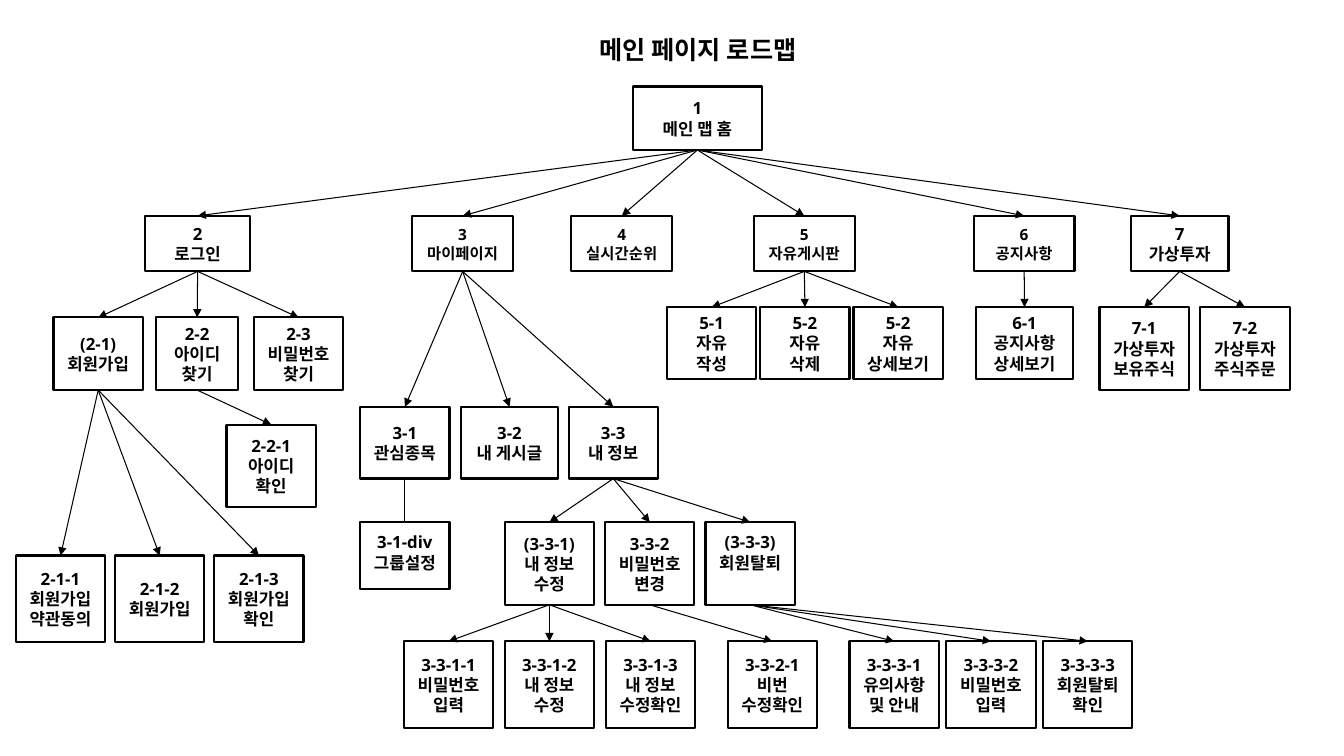
"""Build the main page road map as a tree of boxes joined by arrows."""
from lxml import etree
from pptx import Presentation
from pptx.dml.color import RGBColor
from pptx.enum.shapes import MSO_CONNECTOR, MSO_SHAPE
from pptx.enum.text import MSO_ANCHOR, MSO_AUTO_SIZE, PP_ALIGN
from pptx.oxml.ns import qn
from pptx.util import Cm, Pt

RECT, LINE = MSO_SHAPE.RECTANGLE, MSO_CONNECTOR.STRAIGHT
TOP, MID = MSO_ANCHOR.TOP, MSO_ANCHOR.MIDDLE
CENTER, FIXED = PP_ALIGN.CENTER, MSO_AUTO_SIZE.NONE

THEME = {
    "ink": RGBColor(0, 0, 0),
    "title": Pt(18), "node": Pt(12), "small": Pt(11),
    "edge": Pt(1.5), "arrow": Pt(0.75),
    "latin": "Open Sans", "hangul": "Noto Sans CJK KR",
}
FRAME = {
    "word_wrap": True, "auto_size": FIXED,
    "margin_left": Cm(0.25), "margin_right": Cm(0.25),
    "margin_top": Cm(0.25), "margin_bottom": Cm(0.25),
}
SMALL = ("3", "4", "5", "6")
HIGH = ("3-3-3", "3-1-div")
PLAIN = ("3-1-div",)

ROWS = [
    (2.18, 1.6, [(15.95, 3.25, "1\n메인 맵 홈")]),
    (5.44, 1.4, [
        (3.66, 2.64, "2\n로그인"), (10.39, 2.54, "3\n마이페이지"),
        (14.4, 2.54, "4\n실시간순위"), (19, 2.54, "5\n자유게시판"),
        (24.54, 2.54, "6\n공지사항"), (28.5, 2.46, "7\n가상투자")]),
    (8, 1.83, [
        (1.35, 2.25, "(2-1)\n회원가입"), (3.94, 2.06, "2-2\n아이디\n찾기"),
        (6.4, 2.25, "2-3\n비밀번호찾기")]),
    (7.74, 1.82, [
        (16.81, 2.25, "5-1\n자유\n작성"), (19.16, 2.25, "5-2\n자유\n삭제"),
        (21.51, 2.25, "5-2\n자유\n상세보기"), (24.59, 2.46, "6-1\n공지사항\n상세보기")]),
    (7.74, 2.08, [
        (27.71, 2.25, "7-1\n가상투자\n보유주식"), (30.25, 2.25, "7-2\n가상투자\n주식주문")]),
    (10.25, 1.81, [
        (9.08, 2.25, "3-1\n관심종목"), (11.61, 2.46, "3-2\n내 게시글"),
        (14.33, 2.25, "3-3\n내 정보")]),
    (10.7, 2.08, [(5.71, 2.25, "2-2-1\n아이디\n확인")]),
    (13.16, 1.68, [(9.08, 2.25, "3-1-div\n그룹설정")]),
    (13.16, 2.08, [
        (12.72, 2.25, "(3-3-1)\n내 정보\n수정"), (15.25, 2.25, "3-3-2\n비밀번호\n변경"),
        (17.78, 2.25, "(3-3-3)\n회원탈퇴")]),
    (14, 2.18, [
        (0.4, 2.25, "2-1-1\n회원가입\n약관동의"), (2.9, 2.25, "2-1-2\n회원가입"),
        (5.4, 2.25, "2-1-3\n회원가입\n확인")]),
    (16.16, 2.18, [
        (10.18, 2.25, "3-3-1-1\n비밀번호\n입력"), (12.72, 2.25, "3-3-1-2\n내 정보\n수정"),
        (15.27, 2.25, "3-3-1-3\n내 정보\n수정확인"), (18.34, 2.25, "3-3-2-1\n비번\n수정확인"),
        (21.41, 2.25, "3-3-3-1\n유의사항\n및 안내"), (23.85, 2.25, "3-3-3-2\n비밀번호\n입력"),
        (26.29, 2.25, "3-3-3-3\n회원탈퇴\n확인")]),
]


def write(shape, text, size, latin, anchor):
    """Fill a shape with centred bold text."""
    frame = shape.text_frame
    frame.text = text
    for name, value in {**FRAME, "vertical_anchor": anchor}.items():
        setattr(frame, name, value)
    for para in frame.paragraphs:
        para.alignment = CENTER
        for run in para.runs:
            for name, value in {"name": latin, "size": size, "bold": True}.items():
                setattr(run.font, name, value)
            run.font.color.rgb = THEME["ink"]
            east = etree.SubElement(run.font._element, qn("a:ea"))
            east.set("typeface", THEME["hangul"])


def link(start, end, arrow):
    """Join the bottom of one box to the top of another."""
    line = slide.shapes.add_connector(LINE, 0, 0, 0, 0)
    line.begin_connect(start, 2)
    line.end_connect(end, 0)
    line.line.color.rgb = THEME["ink"]
    line.line.width = THEME["arrow"]
    if arrow:
        etree.SubElement(line.line._get_or_add_ln(), qn("a:tailEnd"), type="triangle")
    etree.SubElement(line._element.spPr, qn("a:effectLst"))


deck = Presentation()
deck.slide_width, deck.slide_height = Cm(33.87), Cm(19.05)
slide = deck.slides.add_slide(deck.slide_layouts[5])

title = slide.shapes.title
place = {"left": Cm(14.3), "top": Cm(0.74), "width": Cm(6.58), "height": Cm(1.02)}
for name, value in place.items():
    setattr(title, name, value)
write(title, "메인 페이지 로드맵", THEME["title"], THEME["hangul"], MID)

boxes = {}
for top, high, nodes in ROWS:
    for left, wide, text in nodes:
        key = text.split("\n")[0].strip("()")
        box = slide.shapes.add_shape(RECT, Cm(left), Cm(top), Cm(wide), Cm(high))
        box.shadow.inherit = False
        box.fill.background()
        box.line.color.rgb = THEME["ink"]
        box.line.width = THEME["edge"]
        size = THEME["small" if key in SMALL else "node"]
        write(box, text, size, THEME["latin"], TOP if key in HIGH else MID)
        if boxes:
            root = key.rpartition("-")[0] or "1"
            link(boxes[root], box, key not in PLAIN)
        boxes[key] = box

deck.save("out.pptx")
